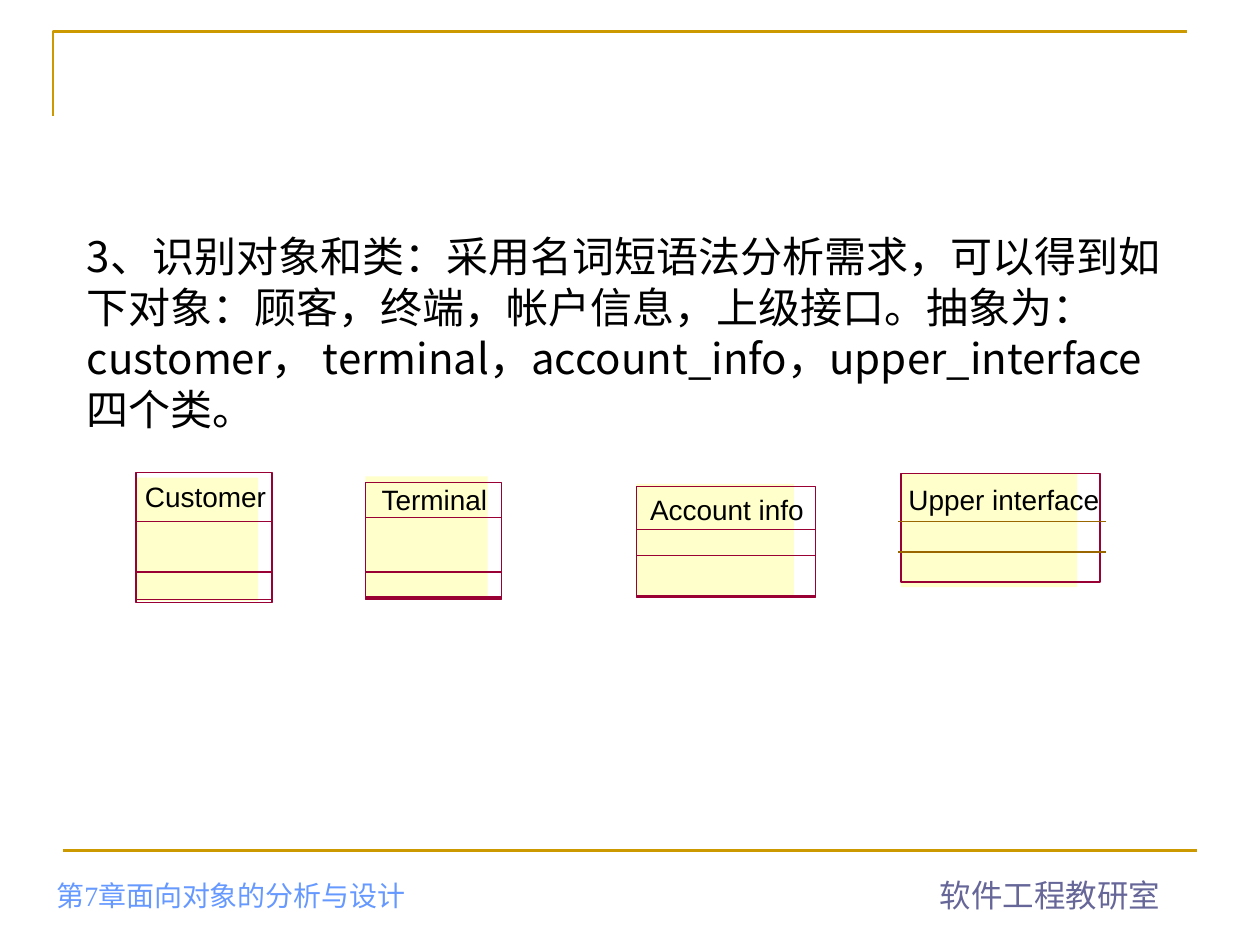
import pptx
import pptx.dml.color
import pptx.enum.shapes
import pptx.enum.text
import pptx.util
from lxml import etree
from pptx.util import Inches

CJK = "Noto Sans CJK SC"
GOLD, MAROON, BROWN, CREAM = "CC9900", "990033", "996600", "FFFFCC"


def rgb(value):
    return pptx.dml.color.RGBColor.from_string(value)


def write_text(tf, text, size, font="Arial", color="000000", spacing=None):
    p = tf.paragraphs[0]
    if spacing:
        p.line_spacing = pptx.util.Pt(spacing)
    r = p.add_run()
    r.text = text
    r.font.size = pptx.util.Pt(size)
    r.font.name = font
    r.font.color.rgb = rgb(color)
    ea = etree.SubElement(r.font._element, pptx.oxml.ns.qn("a:ea"))
    ea.set("typeface", CJK)


class Board:
    def __init__(self, slide):
        self.s = slide

    def stroke(self, sp, color, width):
        sp.line.color.rgb = rgb(color)
        sp.line.width = pptx.util.Pt(width)

    def line(self, x1, y1, x2, y2, color, width):
        c = self.s.shapes.add_connector(
            pptx.enum.shapes.MSO_CONNECTOR.STRAIGHT,
            Inches(x1), Inches(y1), Inches(x2), Inches(y2))
        self.stroke(c, color, width)
        etree.SubElement(c._element.spPr, pptx.oxml.ns.qn("a:effectLst"))

    def polyline(self, points, color, width):
        start, *rest = [(Inches(x), Inches(y)) for x, y in points]
        builder = self.s.shapes.build_freeform(*start)
        builder.add_line_segments(rest, close=False)
        sp = builder.convert_to_shape()
        sp.shadow.inherit = False
        sp.fill.background()
        self.stroke(sp, color, width)

    def rect(self, x, y, w, h, fill=None, line=None):
        sp = self.s.shapes.add_shape(
            pptx.enum.shapes.MSO_SHAPE.RECTANGLE,
            Inches(x), Inches(y), Inches(w), Inches(h))
        sp.shadow.inherit = False
        if fill:
            sp.fill.solid()
            sp.fill.fore_color.rgb = rgb(fill)
        else:
            sp.fill.background()
        if line:
            self.stroke(sp, line, 0)
        else:
            sp.line.fill.background()

    def text(self, x, y, w, h, text, size, wrap=True, inset=True,
             bottom=False, **style):
        tf = self.s.shapes.add_textbox(
            Inches(x), Inches(y), Inches(w), Inches(h)).text_frame
        tf.word_wrap = wrap
        if not wrap:
            tf.auto_size = pptx.enum.text.MSO_AUTO_SIZE.SHAPE_TO_FIT_TEXT
        if not inset:
            tf.margin_left = tf.margin_right = 0
            tf.margin_top = tf.margin_bottom = 0
        if bottom:
            tf.vertical_anchor = pptx.enum.text.MSO_ANCHOR.BOTTOM
        write_text(tf, text, size, **style)

    def uml_class(self, name, label, shade, frame, sections=()):
        """Draw a class box; sections are (top, height) of its lower parts."""
        x, y, w, h = frame
        shade_y, shade_w, shade_h = shade
        self.rect(x, shade_y, shade_w, shade_h, fill=CREAM)
        self.rect(x, y, w, h, line=MAROON)
        self.text(*label, 0.27, name, 16, wrap=False, inset=False)
        for top, height in sections:
            self.rect(x, top, w, height, line=MAROON)


def main():
    prs = pptx.Presentation()
    prs.slide_width, prs.slide_height = Inches(10), Inches(7.5)
    board = Board(prs.slides.add_slide(prs.slide_layouts[6]))

    board.polyline([(0.42, 0.92), (0.42, 0.25), (9.42, 0.25)], GOLD, 1.5)
    board.line(0.5, 6.75, 9.5, 6.75, GOLD, 1.5)
    board.text(7.36, 6.9, 1.95, 0.4, "软件工程教研室", 18, wrap=False,
               color="666699")
    board.text(0.35, 6.98, 4.1, 0.31, "第7章面向对象的分析与设计", 16,
               bottom=True, font="Times New Roman", color="6699FF")
    board.text(0.59, 1.78, 8.82, 1.7,
               "3、识别对象和类：采用名词短语法分析需求，可以得到如下对象："
               "顾客，终端，帐户信息，上级接口。抽象为：customer， terminal，"
               "account_info，upper_interface四个类。",
               24, font=CJK, spacing=29)

    board.uml_class("Customer", (1.15, 3.81, 0.98), (3.79, 0.97, 0.98),
                    (1.08, 3.75, 1.08, 1.03), [(4.14, 0.62), (4.54, 0.22)])
    board.uml_class("Account info", (5.16, 3.91, 1.24), (3.84, 1.25, 0.9),
                    (5.05, 3.86, 1.42, 0.87), [(4.2, 0.54), (4.41, 0.32)])
    board.uml_class("Terminal", (3.03, 3.83, 0.86), (3.78, 0.97, 0.98),
                    (2.9, 3.83, 1.08, 0.93), [(4.11, 0.63), (4.54, 0.21)])
    board.uml_class("Upper interface", (7.21, 3.83, 1.52), (3.76, 1.4, 0.9),
                    (7.15, 3.76, 1.58, 0.86))
    for y in (4.14, 4.38):
        board.line(7.13, y, 8.78, y, BROWN, 0.75)

    prs.save("out.pptx")


if __name__ == "__main__":
    main()
